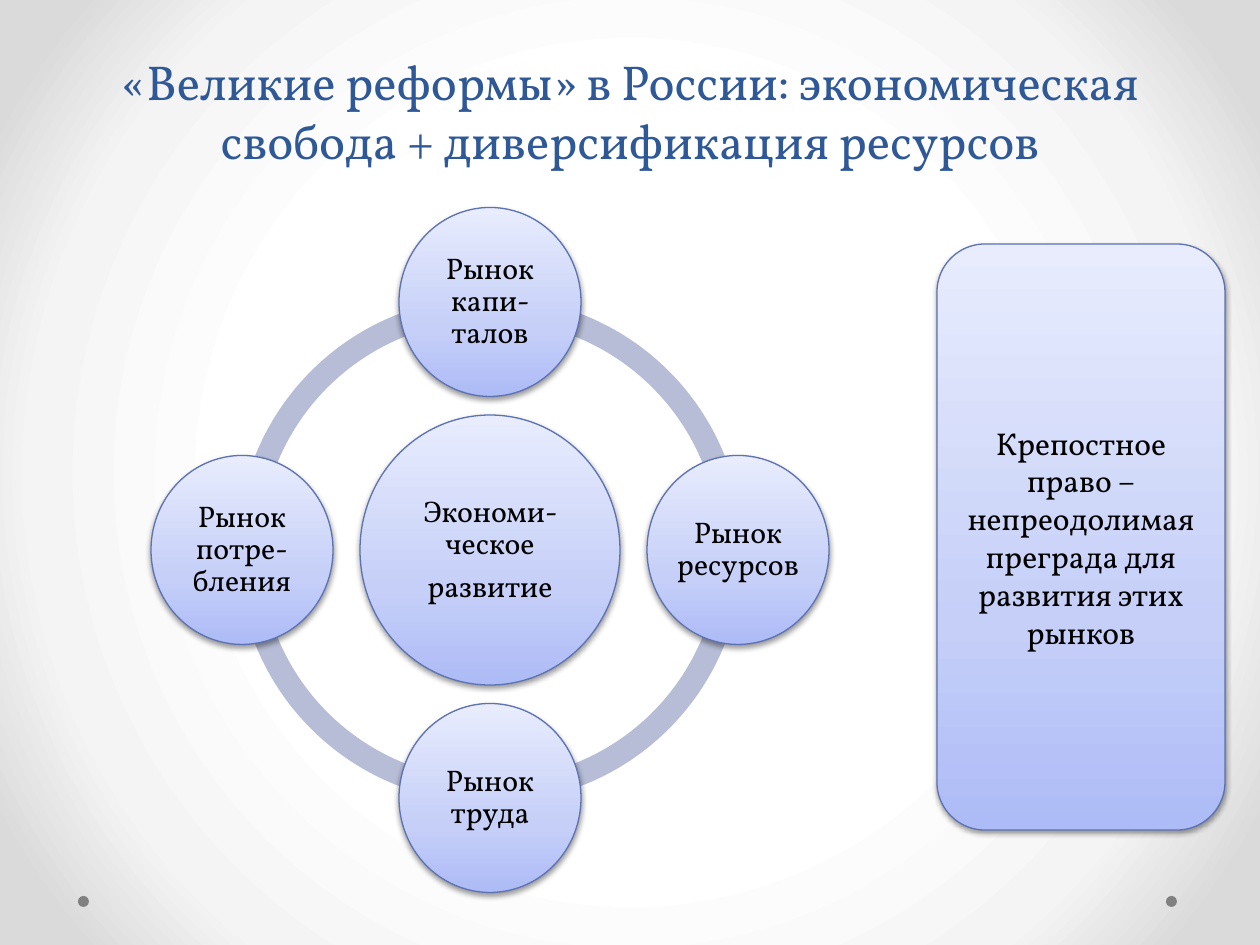
from lxml.etree import SubElement
from pptx import Presentation
from pptx.dml.color import RGBColor
from pptx.enum.shapes import MSO_SHAPE
from pptx.enum.text import MSO_ANCHOR, MSO_AUTO_SIZE, PP_ALIGN
from pptx.oxml.ns import qn
from pptx.util import Emu, Pt

PX = 914400 / 126


def px(n):
    return Emu(round(n * PX))


def rgb(value):
    return RGBColor.from_string(value)


def set_gradient(grad, stops):
    """Replace the stops of a gradFill; its direction is added by the caller."""
    for child in list(grad):
        grad.remove(child)
    gs_list = SubElement(grad, qn("a:gsLst"))
    for pos, color in stops:
        gs = SubElement(gs_list, qn("a:gs"), pos=str(pos * 1000))
        SubElement(gs, qn("a:srgbClr"), val=color)


class Deck:
    font = "Vollkorn"
    title_color, text_color, line_color = "2F5897", "000000", "5C72B2"
    arc_color, dot_color = "B7BDD6", "808080"
    backdrop = [(50, "FFFFFF"), (76, "F4F4F4"), (92, "DADADA")]
    bubble = [(0, "ADBBF6"), (35, "C5CFF8"), (100, "E8ECFD")]

    def __init__(self, width, height):
        self.prs = Presentation()
        self.prs.slide_width, self.prs.slide_height = px(width), px(height)
        self.s = self.prs.slides.add_slide(self.prs.slide_layouts[5])

    def background(self):
        self.s.background.fill.gradient()
        grad = self.s.element.xpath(".//p:bg//a:gradFill")[0]
        set_gradient(grad, self.backdrop)
        circle = SubElement(grad, qn("a:path"), {"path": "circle"})
        SubElement(circle, qn("a:fillToRect"), l="50000", t="50000", r="50000", b="50000")

    def set_text(self, tf, lines, size, color):
        tf.word_wrap = True
        tf.text = "\n".join(lines)
        for p in tf.paragraphs:
            p.alignment = PP_ALIGN.CENTER
            for r in p.runs:
                r.font.name, r.font.size = self.font, Pt(size)
                r.font.color.rgb = rgb(color)

    def title(self, text, x, y, w, h):
        sp = self.s.shapes.title
        sp.left, sp.top, sp.width, sp.height = px(x), px(y), px(w), px(h)
        tf = sp.text_frame
        self.set_text(tf, [text], 28, self.title_color)
        tf.vertical_anchor = MSO_ANCHOR.BOTTOM
        tf.auto_size = MSO_AUTO_SIZE.NONE

    def shape(self, kind, x, y, w, h, color):
        sp = self.s.shapes.add_shape(kind, px(x), px(y), px(w), px(h))
        sp.shadow.inherit = False
        sp.fill.solid()
        sp.fill.fore_color.rgb = rgb(color)
        sp.line.fill.background()
        return sp

    def dot(self, x, y, size):
        self.shape(MSO_SHAPE.OVAL, x, y, size, size, self.dot_color)

    def arc(self, cx, cy, size, start):
        sp = self.shape(MSO_SHAPE.BLOCK_ARC, cx - size / 2, cy - size / 2, size, size,
                        self.arc_color)
        # Angles are 60000ths of a degree, adjustments are 100000ths
        sp.adjustments[0] = start * 0.6
        sp.adjustments[1] = (start + 90) % 360 * 0.6
        sp.adjustments[2] = 0.046

    def panel(self, kind, x, y, w, h, lines, size):
        sp = self.shape(kind, x, y, w, h, self.bubble[0][1])
        sp.fill.gradient()
        grad = sp.element.spPr.find(qn("a:gradFill"))
        set_gradient(grad, self.bubble)
        SubElement(grad, qn("a:lin"), ang="16200000", scaled="0")
        sp.line.color.rgb = rgb(self.line_color)
        sp.line.width = Pt(0.75)
        # Soft shadow below
        effects = sp.element.spPr.find(qn("a:effectLst"))
        shadow = SubElement(effects, qn("a:outerShdw"), blurRad="40000", dist="20000",
                            dir="5400000", rotWithShape="0")
        black = SubElement(shadow, qn("a:srgbClr"), val="000000")
        SubElement(black, qn("a:alpha"), val="38000")
        tf = sp.text_frame
        self.set_text(tf, lines, size, self.text_color)
        tf.vertical_anchor = MSO_ANCHOR.MIDDLE
        return tf

    def circle(self, cx, cy, w, h, lines):
        tf = self.panel(MSO_SHAPE.OVAL, cx - w / 2, cy - h / 2, w, h, lines, 17)
        tf.margin_left = tf.margin_right = tf.margin_top = tf.margin_bottom = px(2)
        for p in tf.paragraphs:
            p.line_spacing = 0.9
            p.space_after = Pt(6)


def main():
    deck = Deck(1260, 945)

    # Backdrop and corner dots
    deck.background()
    for x in (1166, 78):
        deck.dot(x, 896, 11)

    deck.title("«Великие реформы» в России: экономическая свобода + "
               "диверсификация ресурсов", 63, 37, 1134, 139)

    # Ring of markets around economic development
    cx, cy, radius = 490, 550, 248
    for start in (180, 90, 0, 270):
        deck.arc(cx, cy, 506, start)
    deck.circle(cx, cy, 260, 270, ["Экономи-ческое", "развитие"])
    markets = [("Рынок капи-талов", 0, -1), ("Рынок ресурсов", 1, 0),
               ("Рынок труда", 0, 1), ("Рынок потре-бления", -1, 0)]
    for text, dx, dy in markets:
        deck.circle(cx + dx * radius, cy + dy * radius, 182, 189, [text])

    # Obstacle card
    deck.panel(MSO_SHAPE.ROUNDED_RECTANGLE, 937, 244, 288, 586,
               ["Крепостное право – непреодолимая преграда для развития этих рынков"], 18)

    deck.prs.save("out.pptx")


if __name__ == "__main__":
    main()
